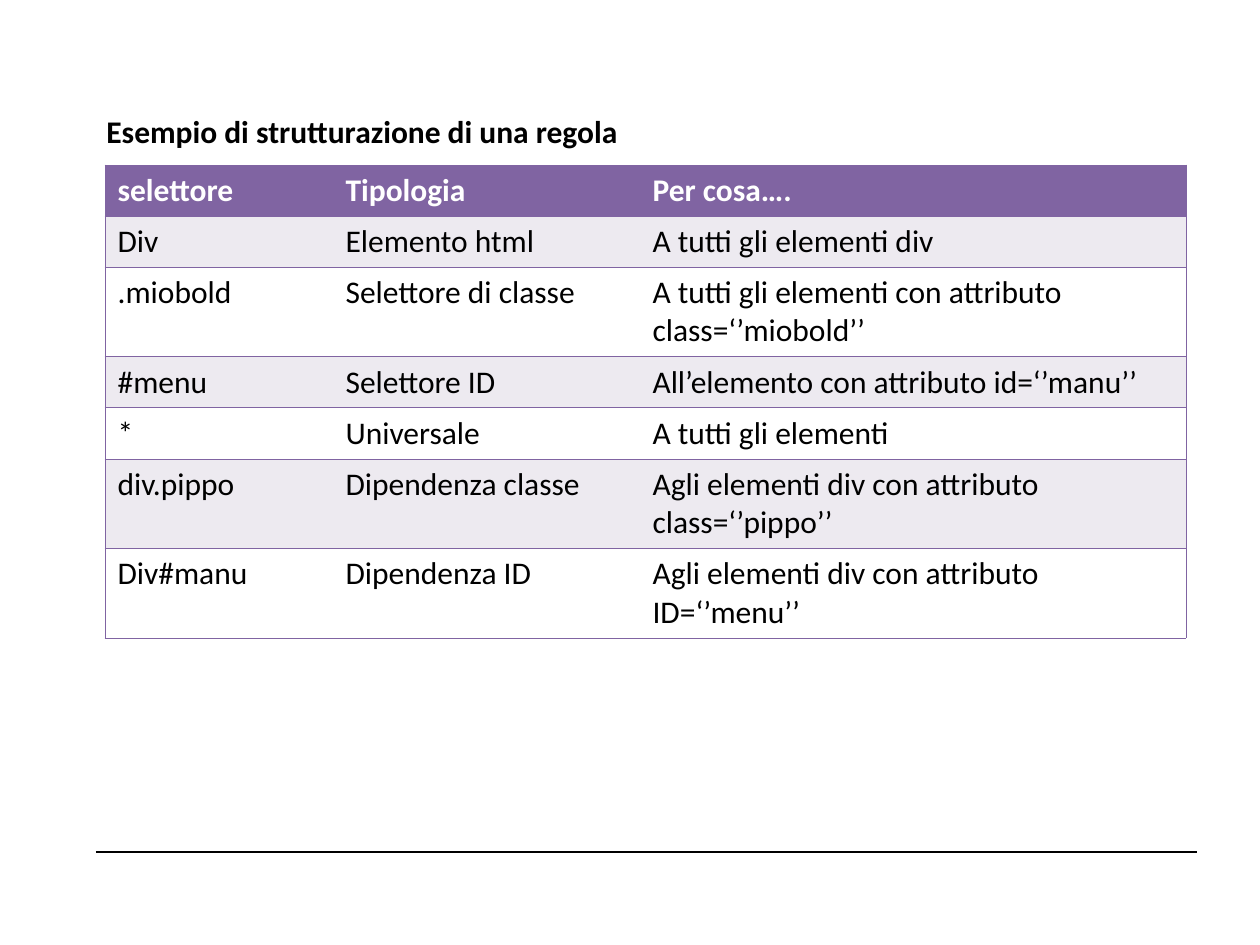
from lxml import etree
from pptx import Presentation
from pptx import util as u
from pptx.dml.color import RGBColor
from pptx.enum import shapes, text
from pptx.oxml.ns import qn

PURPLE, LILAC, WHITE, BLACK = "8064A2", "EDEAF0", "FFFFFF", "000000"

ROWS = [
    ("selettore", "Tipologia", "Per cosa…."),
    ("Div", "Elemento html", "A tutti gli elementi div"),
    (".miobold", "Selettore di classe",
     "A tutti gli elementi con attributo class=‘’miobold’’"),
    ("#menu", "Selettore ID", "All’elemento con attributo id=‘’manu’’"),
    ("*", "Universale", "A tutti gli elementi"),
    ("div.pippo", "Dipendenza classe",
     "Agli elementi div con attributo class=‘’pippo’’"),
    ("Div#manu", "Dipendenza ID",
     "Agli elementi div con attributo ID=‘’menu’’"),
]


def px(n):
    return u.Emu(round(n * 914400 / 126))


def rgb(color):
    return RGBColor.from_string(color)


class Deck:
    font = "Calibri"
    size = 18

    def __init__(self, width, height):
        self.prs = Presentation()
        self.prs.slide_width, self.prs.slide_height = px(width), px(height)
        self.s = self.prs.slides.add_slide(self.prs.slide_layouts[6])

    def set_text(self, tf, words, color, bold):
        p = tf.paragraphs[0]
        p.text = words
        p.font.name, p.font.size, p.font.bold = self.font, u.Pt(self.size), bold
        p.font.color.rgb = rgb(color)

    def line(self, x1, x2, y):
        ln = self.s.shapes.add_connector(
            shapes.MSO_CONNECTOR.STRAIGHT, px(x1), px(y), px(x2), px(y))
        ln.line.color.rgb = rgb(BLACK)
        ln.line.width = u.Pt(0.75)
        etree.SubElement(ln._element.spPr, qn("a:effectLst"))

    def label(self, x, y, w, h, words):
        tf = self.s.shapes.add_textbox(px(x), px(y), px(w), px(h)).text_frame
        tf.word_wrap = True
        tf.auto_size = text.MSO_AUTO_SIZE.SHAPE_TO_FIT_TEXT
        self.set_text(tf, words, BLACK, True)

    def border(self, cell, side, shown):
        ln = etree.SubElement(cell._tc.get_or_add_tcPr(), qn("a:ln" + side))
        ln.set("w", str(int(u.Pt(0.45))))
        if shown:
            fill = etree.SubElement(ln, qn("a:solidFill"))
            etree.SubElement(fill, qn("a:srgbClr")).set("val", PURPLE)
        else:
            etree.SubElement(ln, qn("a:noFill"))

    def table(self, x, y, widths, heights, rows):
        tb = self.s.shapes.add_table(
            len(rows), len(widths), px(x), px(y),
            px(sum(widths)), px(sum(heights))).table
        tb.first_row = tb.horz_banding = False
        for col, w in zip(tb.columns, widths):
            col.width = px(w)
        for i, (row, h) in enumerate(zip(rows, heights)):
            tb.rows[i].height = px(h)
            for j, words in enumerate(row):
                cell = tb.cell(i, j)
                edges = {"L": j == 0, "R": j == len(row) - 1, "T": True, "B": True}
                for side, shown in edges.items():
                    self.border(cell, side, shown)
                cell.fill.solid()
                fill = PURPLE if i == 0 else LILAC if i % 2 else WHITE
                cell.fill.fore_color.rgb = rgb(fill)
                self.set_text(cell.text_frame, words, BLACK if i else WHITE, i == 0)


def main():
    deck = Deck(1260, 945)
    deck.line(96, 273, 852)
    deck.line(273, 1197, 852)
    deck.table(105, 165, [228, 307, 546], [51, 51, 89, 51, 51, 89, 89], ROWS)
    deck.label(94, 106, 764, 51, "Esempio di strutturazione di una regola")
    deck.prs.save("out.pptx")


if __name__ == "__main__":
    main()
